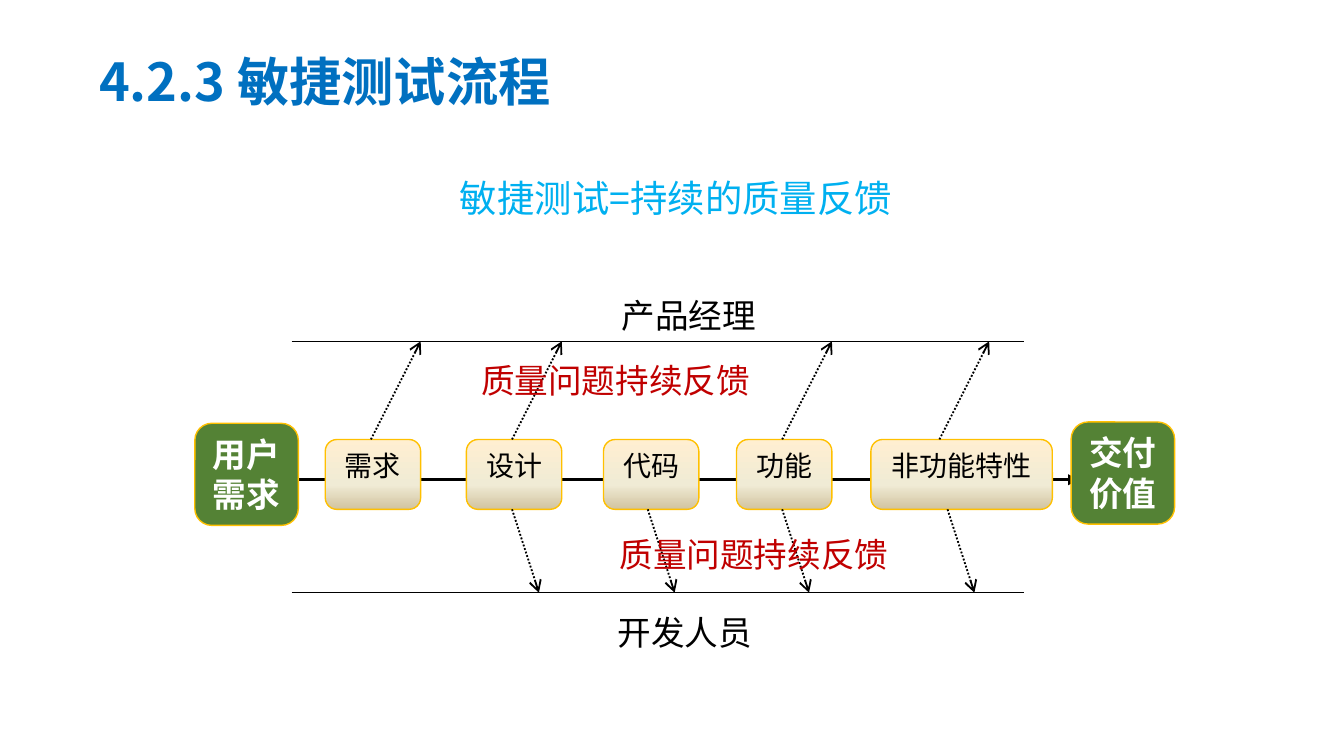
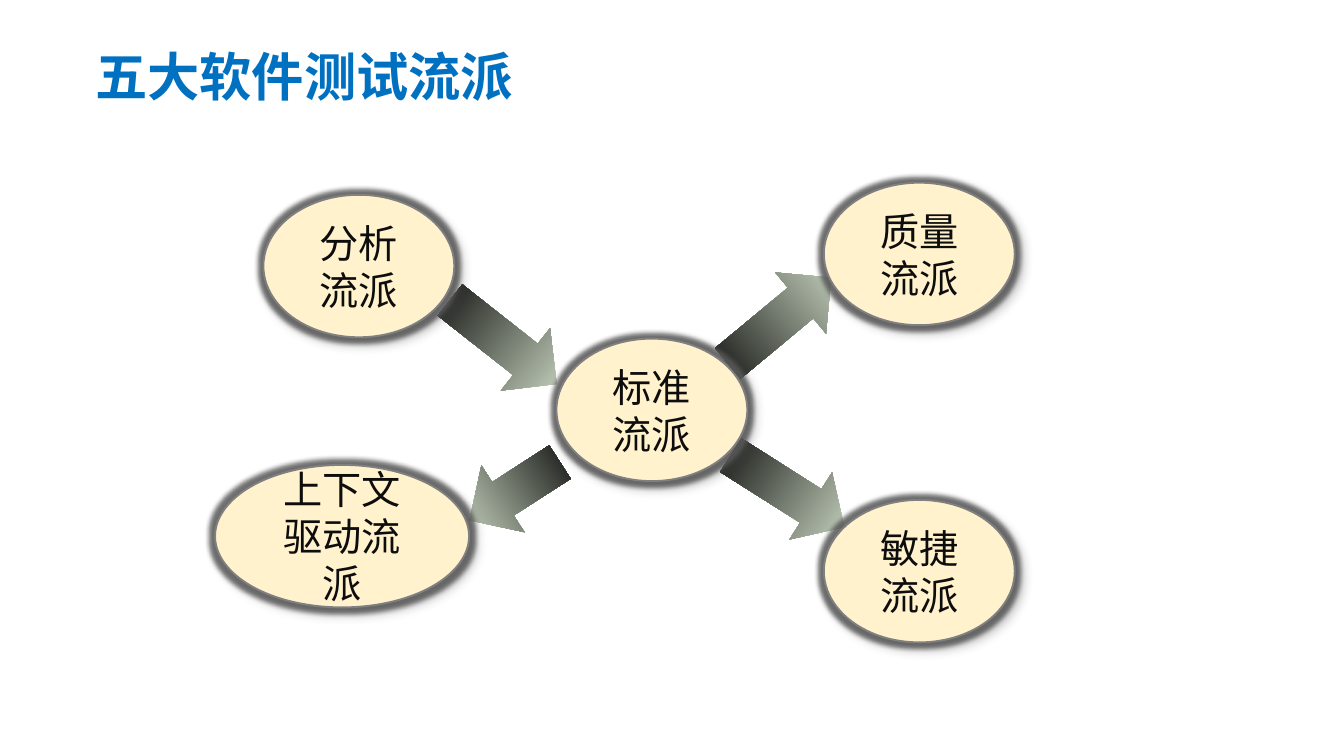
from lxml import etree
from pptx import Presentation
from pptx.dml.color import RGBColor
from pptx.enum.dml import MSO_LINE
from pptx.enum.shapes import MSO_CONNECTOR, MSO_SHAPE
from pptx.enum.text import MSO_ANCHOR, MSO_AUTO_SIZE, PP_ALIGN
from pptx.oxml.ns import qn
from pptx.util import Inches, Pt

ROUNDED, OVAL, ARROW = MSO_SHAPE.ROUNDED_RECTANGLE, MSO_SHAPE.OVAL, MSO_SHAPE.RIGHT_ARROW
LEFT, CENTER = PP_ALIGN.LEFT, PP_ALIGN.CENTER
TOP, MIDDLE = MSO_ANCHOR.TOP, MSO_ANCHOR.MIDDLE
DOTTED = MSO_LINE.ROUND_DOT
CJK_FONT, LATIN_FONT = "Noto Sans CJK SC", "Calibri"
TITLE_ONLY = 5

COLORS = {
    "title": "0070C0", "slogan": "00B0F0", "black": "000000", "white": "FFFFFF",
    "feedback": "C00000", "endpoint": "548235", "gold": "FFC000",
    "school": "FFF2CC", "school_line": "808080", "school_text": "0D0D0D",
    "halo": "595959",
}
STAGE_GRADIENT = [(0, "FFEFD1"), (65, "F0EBD5"), (100, "D1C39F")]
ARROW_GRADIENT = [(0, "E2F0D9"), (100, "000000")]


def color(name):
    return RGBColor.from_string(COLORS[name])


def add_element(parent, tag, **attributes):
    return etree.SubElement(parent, qn(tag), {key: str(value) for key, value in attributes.items()})


def add_color(parent, value, alpha=100):
    element = add_element(parent, "a:srgbClr", val=value)
    if alpha < 100:
        add_element(element, "a:alpha", val=alpha * 1000)


class Deck:
    def __init__(self):
        self.presentation = Presentation()
        self.presentation.slide_width = Inches(10)
        self.presentation.slide_height = Inches(5.625)
        self.slide = None

    def new_slide(self):
        layout = self.presentation.slide_layouts[TITLE_ONLY]
        self.slide = self.presentation.slides.add_slide(layout)

    def set_text(self, shape, text, size, color_name, font=CJK_FONT, bold=False,
                 align=CENTER, anchor=TOP, spacing=None):
        frame = shape.text_frame
        frame.text = text
        frame.vertical_anchor = anchor
        paragraph = frame.paragraphs[0]
        paragraph.alignment = align
        paragraph.line_spacing = spacing
        run = paragraph.runs[0]
        run.font.size = Pt(size)
        run.font.bold = bold
        run.font.name = font
        run.font.color.rgb = color(color_name)
        add_element(run.font._element, "a:ea", typeface=CJK_FONT)

    def title(self, box, text, size=28, color_name="title", bold=True, align=LEFT):
        shape = self.slide.shapes.title
        shape.left, shape.top, shape.width, shape.height = map(Inches, box)
        shape.text_frame.auto_size = MSO_AUTO_SIZE.NONE
        self.set_text(shape, text, size, color_name, bold=bold, align=align, spacing=0.9)

    def heading(self, box, text):
        shape = self.slide.shapes.add_textbox(*map(Inches, box))
        shape.text_frame.word_wrap = False
        shape.text_frame.auto_size = MSO_AUTO_SIZE.SHAPE_TO_FIT_TEXT
        self.set_text(shape, text, 28, "title", bold=True, align=LEFT, spacing=0.9)

    def shape(self, kind, box, fill=None, line=None, width=0.75):
        shape = self.slide.shapes.add_shape(kind, *map(Inches, box))
        shape.shadow.inherit = False
        if fill:
            shape.fill.solid()
            shape.fill.fore_color.rgb = color(fill)
        else:
            shape.fill.background()
        if line:
            shape.line.color.rgb = color(line)
            shape.line.width = Pt(width)
        else:
            shape.line.fill.background()
        return shape

    def gradient(self, shape, stops, angle):
        shape.fill.gradient()
        shape.fill.gradient_angle = 360 - angle
        stop_list = shape._element.spPr.find(qn("a:gradFill")).find(qn("a:gsLst"))
        for stop in list(stop_list):
            stop_list.remove(stop)
        for position, value in stops:
            add_color(add_element(stop_list, "a:gs", pos=position * 1000), value)

    def box(self, box, text, size=18, color_name="black", fill=None, line=None, bold=False):
        shape = self.shape(ROUNDED, box, fill, line)
        frame = shape.text_frame
        frame.margin_left = frame.margin_right = Inches(0.07)
        frame.margin_top = frame.margin_bottom = Inches(0.04)
        self.set_text(shape, text, size, color_name, LATIN_FONT, bold)
        return shape

    def line(self, start, end, width=0.75, dash=None, arrowhead=None):
        connector = self.slide.shapes.add_connector(
            MSO_CONNECTOR.STRAIGHT, *map(Inches, start + end))
        connector.line.color.rgb = color("black")
        connector.line.width = Pt(width)
        if dash:
            connector.line.dash_style = dash
        if arrowhead:
            add_element(connector.line._ln, "a:tailEnd", type=arrowhead)
        add_element(connector._element.spPr, "a:effectLst")

    def school(self, box, text):
        shape = self.shape(OVAL, box, "school", "school_line", 1)
        effects = shape._element.spPr.find(qn("a:effectLst"))
        glow = add_element(effects, "a:glow", rad=Pt(5))
        add_color(glow, COLORS["halo"], 85)
        shadow = add_element(effects, "a:outerShdw", blurRad=Pt(4), dist=Pt(3),
                             dir=45 * 60000, algn="tl", rotWithShape=0)
        add_color(shadow, COLORS["halo"], 43)
        self.set_text(shape, text, 21, "school_text", anchor=MIDDLE)

    def block_arrow(self, box, rotation):
        shape = self.shape(ARROW, box)
        self.gradient(shape, ARROW_GRADIENT, 180)
        shape.rotation = rotation


def build_process(deck):
    deck.new_slide()
    deck.title((2.37, 1.29, 5.32, 0.69), "敏捷测试=持续的质量反馈",
               20, "slogan", bold=False, align=CENTER)

    # Main flow through the stages
    stage_top, stage_height = 3.27, 0.52
    stage_bottom = stage_top + stage_height
    deck.line((2.17, 3.57), (8.03, 3.57), 1.5, arrowhead="triangle")
    stages = [("需求", 2.42, 0.71), ("设计", 3.47, 0.71), ("代码", 4.49, 0.71),
              ("功能", 5.48, 0.71), ("非功能特性", 6.48, 1.35)]
    for text, left, width in stages:
        stage = deck.box((left, stage_top, width, stage_height), text, 15, line="gold")
        deck.gradient(stage, STAGE_GRADIENT, 90)

    # Roles above and below
    manager_y, developer_y = 2.54, 4.41
    for y in (manager_y, developer_y):
        deck.line((2.17, y), (7.62, y))
    deck.box((4.43, 2.14, 1.39, 0.35), "产品经理")
    deck.box((4.4, 4.5, 1.39, 0.34), "开发人员")

    # Feedback arrows
    feedback = [(stage_top, manager_y, 0.37, (2.76, 3.81, 5.82, 6.99)),
                (stage_bottom, developer_y, 0.2, (3.81, 4.82, 5.82, 7.05))]
    for start_y, end_y, shift, starts in feedback:
        for x in starts:
            deck.line((x, start_y), (x + shift, end_y), 1, DOTTED, "arrow")
    for box in ((3.45, 2.61, 2.26, 0.52), (4.46, 3.91, 2.3, 0.52)):
        deck.box(box, "质量问题持续反馈", color_name="feedback")

    # Start and end of the flow
    for text, left, top in (("用户需求", 1.45, 3.15), ("交付价值", 7.97, 3.14)):
        deck.box((left, top, 0.77, 0.76), text, 18, "white", "endpoint", "gold", True)
    deck.heading((0.64, 0.37, 3.74, 0.53), "4.2.3 敏捷测试流程")


def build_schools(deck):
    deck.new_slide()
    deck.title((0.61, 0.33, 5.37, 0.56), "五大软件测试流派")

    # Arrows between the schools
    arrows = [(3.24, 2.25, 1.01, 38.2), (5.36, 3.36, 1, 32.4),
              (5.3, 2.09, 1, 320.3), (3.43, 3.36, 0.8, 147.2)]
    for left, top, width, rotation in arrows:
        deck.block_arrow((left, top, width, 0.59), rotation)

    # Schools
    schools = [("分析流派", 1.96, 1.45, 1.42), ("质量流派", 6.13, 1.36, 1.42),
               ("上下文驱动流派", 1.6, 3.46, 1.89), ("敏捷流派", 6.13, 3.72, 1.42),
               ("标准流派", 4.14, 2.52, 1.42)]
    for text, left, top, width in schools:
        deck.school((left, top, width, 1.06), text)


def main():
    deck = Deck()
    build_process(deck)
    build_schools(deck)
    deck.presentation.save("out.pptx")


if __name__ == "__main__":
    main()
